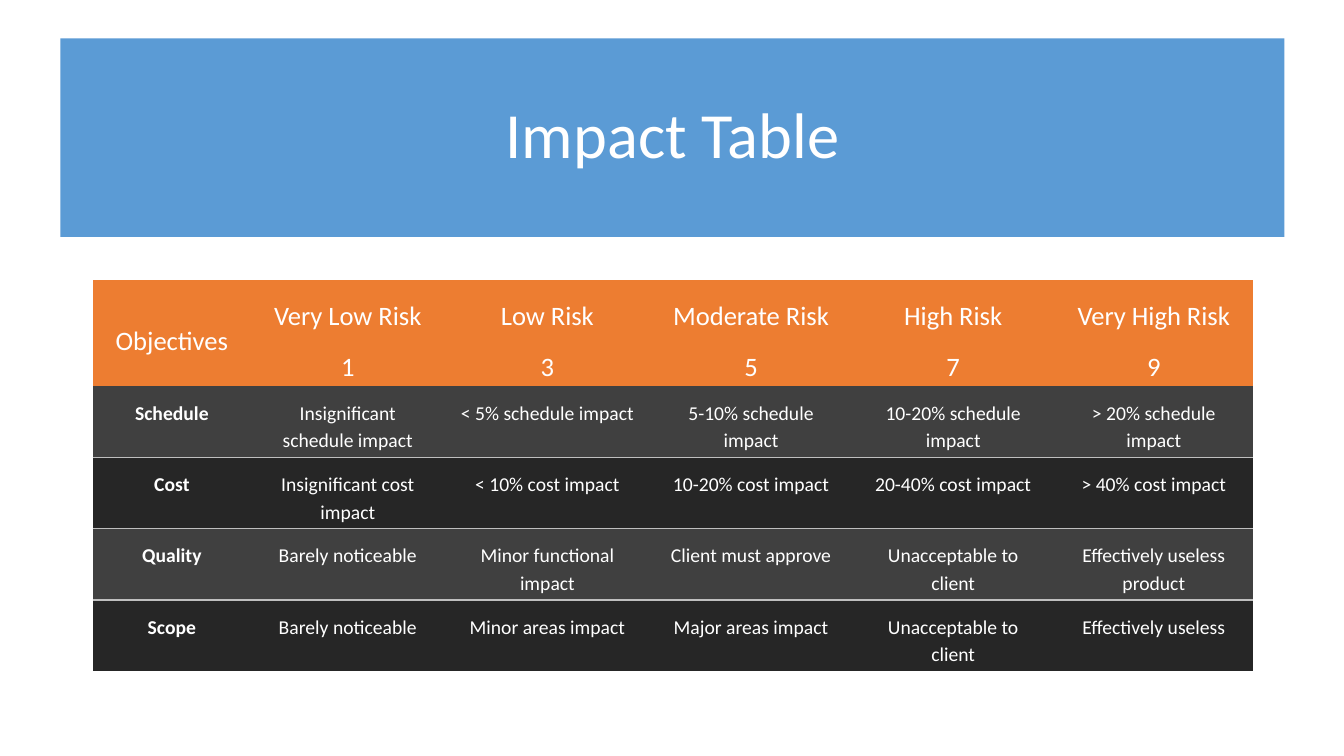
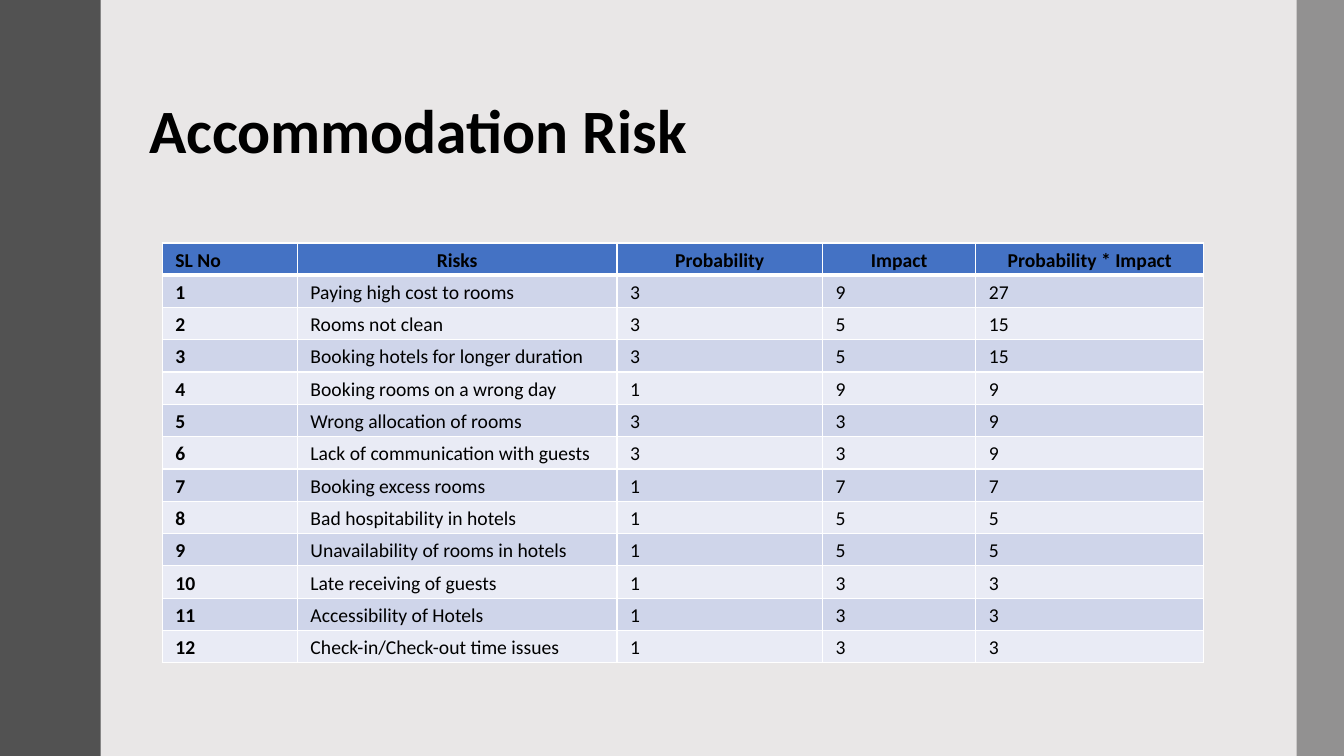
from collections import namedtuple
from dataclasses import dataclass

from lxml import etree
from pptx import Presentation
from pptx.dml.color import RGBColor
from pptx.enum.shapes import MSO_SHAPE
from pptx.enum.text import MSO_ANCHOR, PP_ALIGN
from pptx.oxml.ns import qn
from pptx.util import Emu, Pt

RECT = MSO_SHAPE.RECTANGLE
LEFT, MID = PP_ALIGN.LEFT, PP_ALIGN.CENTER
TOP, HALF = MSO_ANCHOR.TOP, MSO_ANCHOR.MIDDLE
SCALE = 9144
PLAIN = "{2D5ABB26-0587-4C30-8999-92F81FD0307C}"

Box = namedtuple("Box", "x y w h")
Look = namedtuple("Look", "head odd even ink size pads heavy")
PAGE = Box(0, 0, 1333, 750)


@dataclass(frozen=True)
class Theme:
    """Colours and type sizes of the deck."""
    font: str = "Calibri"
    white: str = "FFFFFF"
    black: str = "000000"
    blue: str = "5B9BD5"
    orange: str = "ED7D31"
    coal: str = "404040"
    night: str = "262626"
    rule: str = "BFBFBF"
    mist: str = "E9E7E7"
    slate: str = "525252"
    ash: str = "595959"
    royal: str = "4472C4"
    sky: str = "CFD5EA"
    pale: str = "E9EBF5"
    banner: int = 46
    title: int = 44
    head: int = 19
    body: int = 14


T = Theme()
DARK = Look(T.orange, T.coal, T.night, T.white, T.head, (14, 12, 14, 0), False)
LIGHT = Look(T.royal, T.sky, T.pale, T.black, T.body, (13, 2, 13, 0), True)

LEVELS = ["Objectives", "Very Low Risk\n1", "Low Risk\n3", "Moderate Risk\n5",
          "High Risk\n7", "Very High Risk\n9"]
IMPACTS = [
    ["Schedule", "Insignificant schedule impact", "< 5% schedule impact",
     "5-10% schedule impact", "10-20% schedule impact", "> 20% schedule impact"],
    ["Cost", "Insignificant cost impact", "< 10% cost impact",
     "10-20% cost impact", "20-40% cost impact", "> 40% cost impact"],
    ["Quality", "Barely noticeable", "Minor functional impact",
     "Client must approve", "Unacceptable to client", "Effectively useless product"],
    ["Scope", "Barely noticeable", "Minor areas impact",
     "Major areas impact", "Unacceptable to client", "Effectively useless"],
]
FIELDS = ["SL No", "Risks", "Probability", "Impact", "Probability * Impact"]
RISKS = [
    ("Paying high cost to rooms", 3, 9),
    ("Rooms not clean", 3, 5),
    ("Booking hotels for longer duration", 3, 5),
    ("Booking rooms on a wrong day", 1, 9),
    ("Wrong allocation of rooms", 3, 3),
    ("Lack of communication with guests", 3, 3),
    ("Booking excess rooms", 1, 7),
    ("Bad hospitability in hotels", 1, 5),
    ("Unavailability of rooms in hotels", 1, 5),
    ("Late receiving of guests", 1, 3),
    ("Accessibility of Hotels", 1, 3),
    ("Check-in/Check-out time issues", 1, 3),
]


def px(n):
    """Turn px into EMU."""
    return Emu(round(n * SCALE))


def place(box):
    """Turn a box into four EMU lengths."""
    return [px(n) for n in box]


def paint(fill, tint):
    """Give a fill one solid colour."""
    fill.solid()
    fill.fore_color.rgb = RGBColor.from_string(tint)


def write(frame, text, size, ink, bold, align, lead, after=0):
    """Write styled paragraphs, one for each line of text."""
    frame.word_wrap = True
    frame.text = text
    for para in frame.paragraphs:
        para.alignment = align
        para.line_spacing = lead
        para.space_after = Pt(after)
        para.font.name = T.font
        para.font.size = Pt(size)
        para.font.bold = bold
        para.font.color.rgb = RGBColor.from_string(ink)


def band(slide, box, tint, alpha=100):
    """Draw a plain colour band."""
    shape = slide.shapes.add_shape(RECT, *place(box))
    shape.shadow.inherit = False
    shape.line.fill.background()
    paint(shape.fill, tint)
    if alpha < 100:
        tone = shape.fill._xPr.find(".//" + qn("a:srgbClr"))
        etree.SubElement(tone, qn("a:alpha"), val=str(alpha * 1000))


def title(slide, box, text, size, ink, bold, align):
    """Write the slide title, centred on the height of its box."""
    frame = slide.shapes.add_textbox(*place(box)).text_frame
    frame.vertical_anchor = HALF
    write(frame, text, size, ink, bold, align, 0.9)


def edge(cell, side, tint, width):
    """Add a border line to one side of a cell."""
    line = etree.SubElement(cell._tc.get_or_add_tcPr(), qn("a:ln" + side),
                            w=str(Pt(width)))
    solid = etree.SubElement(line, qn("a:solidFill"))
    etree.SubElement(solid, qn("a:srgbClr"), val=tint)


def rule(cell, row, look):
    """Draw the borders that a cell has in its look."""
    if look.heavy:
        for side in "LRTB":
            thick = (row, side) in ((0, "B"), (1, "T"))
            edge(cell, side, T.white, 3 if thick else 1)
    elif row and row % 2 == 0:
        edge(cell, "T", T.rule, 1)
    elif row % 2:
        edge(cell, "B", T.rule, 1)


def grid(slide, box, cols, head, rows, look):
    """Build a table with a head row and equal body rows."""
    table = slide.shapes.add_table(len(rows), len(cols), *place(box)).table
    table._tbl.tblPr.find(qn("a:tableStyleId")).text = PLAIN
    table.first_row = table.horz_banding = False
    for col, width in zip(table.columns, cols):
        col.width = px(width)
    step = (box.h - head) / (len(rows) - 1)
    for r, row in enumerate(rows):
        table.rows[r].height = px(step if r else head)
        tint = (look.odd if r % 2 else look.even) if r else look.head
        for c, text in enumerate(row):
            cell = table.cell(r, c)
            rule(cell, r, look)
            paint(cell.fill, tint)
            (cell.margin_left, cell.margin_top,
             cell.margin_right, cell.margin_bottom) = place(look.pads)
            mid = (r == 0 and c > 0) if look.heavy else True
            bold = c == 0 if r else look.heavy
            cell.vertical_anchor = TOP if r or look.heavy else HALF
            write(cell.text_frame, str(text), T.body if r else look.size,
                  look.ink, bold, MID if mid else LEFT, 1.15, 10)


def start(deck, tint):
    """Add a blank slide with a plain background."""
    slide = deck.slides.add_slide(deck.slide_layouts[6])
    paint(slide.background.fill, tint)
    return slide


def impact(deck, page):
    """Build the slide with the impact scale."""
    slide = start(deck, T.white)
    x, w = page.x + 92, 1150
    band(slide, Box(page.x + 60, page.y + 38, 1214, 197), T.blue)
    title(slide, Box(x, page.y + 64, w, 145), "Impact Table",
          T.banner, T.white, False, MID)
    grid(slide, Box(x, page.y + 278, w, 388), [157, 192, 204, 200, 201, 197],
         105, [LEVELS] + IMPACTS, DARK)


def risk(deck, page):
    """Build the slide with the scored risks."""
    slide = start(deck, T.mist)
    title(slide, Box(page.x + 138, page.y + 60, 1078, 145),
          "Accommodation Risk", T.title, T.black, True, LEFT)
    band(slide, Box(page.x, page.y, 100, page.h), T.slate)
    band(slide, Box(page.x + page.w - 47, page.y, 47, page.h), T.ash, 60)
    rows = [[n, name, odds, harm, odds * harm]
            for n, (name, odds, harm) in enumerate(RISKS, 1)]
    grid(slide, Box(page.x + 161, page.y + 241, 1033, 417),
         [134, 317, 204, 152, 226], 32, [FIELDS] + rows, LIGHT)


def main():
    """Build and save the deck."""
    deck = Presentation()
    deck.slide_width, deck.slide_height = px(PAGE.w), px(PAGE.h)
    impact(deck, PAGE)
    risk(deck, PAGE)
    deck.save("out.pptx")


if __name__ == "__main__":
    main()
